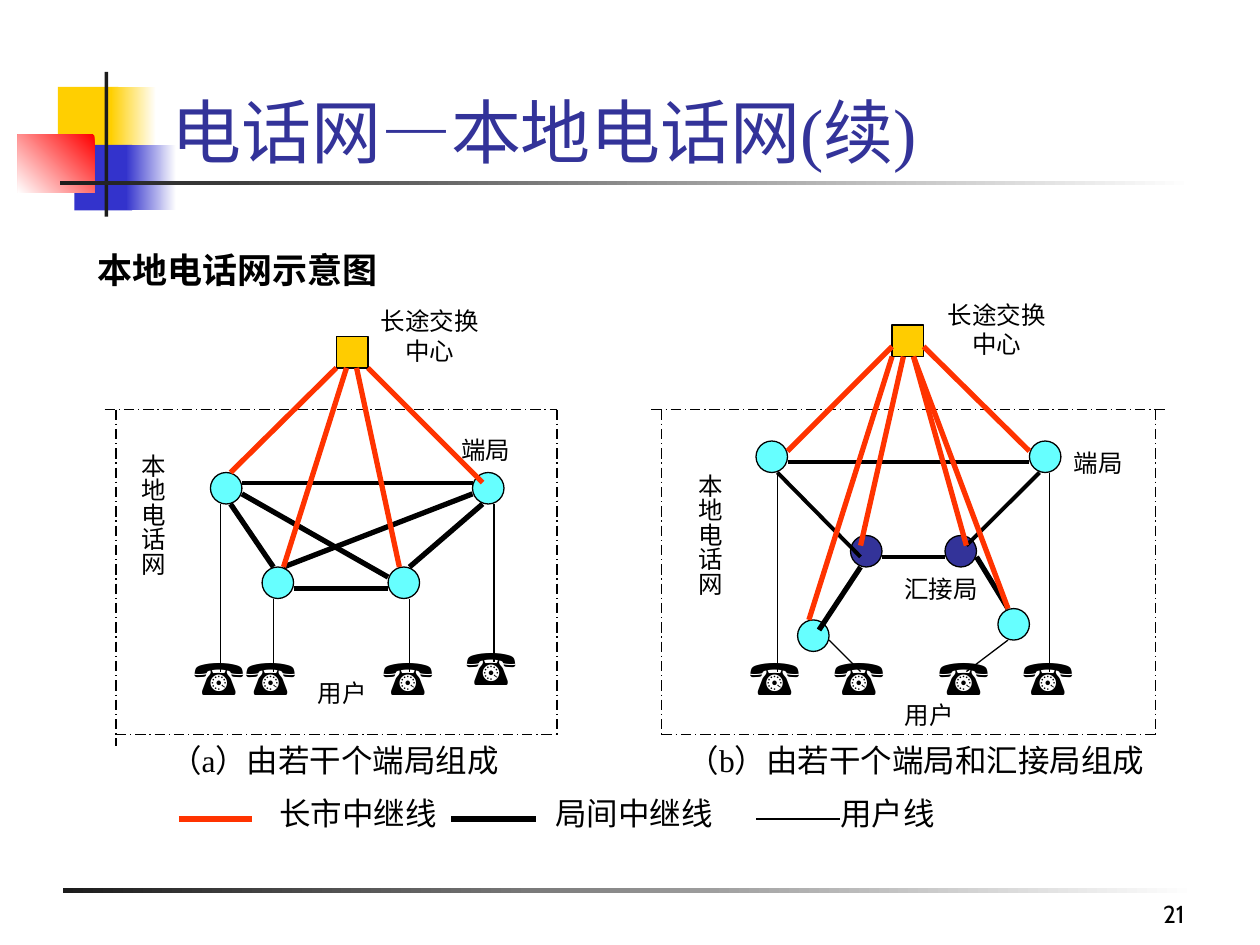
from lxml.etree import SubElement
from pptx import Presentation
from pptx.dml.color import RGBColor as RGB
from pptx.enum.dml import MSO_LINE
from pptx.enum.shapes import MSO_CONNECTOR, MSO_SHAPE
from pptx.enum.text import MSO_ANCHOR as ANCHOR, MSO_AUTO_SIZE as FIT, PP_ALIGN as ALIGN
from pptx.oxml.ns import qn
from pptx.util import Inches, Pt

BLACK, WHITE, INK = RGB(0, 0, 0), RGB(255, 255, 255), RGB(0x1C, 0x1C, 0x1C)
GOLD, BLUE, RED = RGB(0xFF, 0xCF, 0x01), RGB(0x33, 0x33, 0xCC), RGB(0xFF, 0, 0)
NAVY, CYAN = RGB(0x33, 0x33, 0x99), RGB(0x66, 0xFF, 0xFF)
AMBER, TRUNK = RGB(0xFF, 0xCC, 0x00), RGB(0xFF, 0x33, 0x00)
SERIF, SANS = "Times New Roman", "Noto Sans CJK SC"
NODE = 0.25

# Template decor: left, top, width, height, colour, far colour, angle
DECOR = [
    (0.46, 0.69, 0.48, 0.52, GOLD, None, 0),
    (0.88, 0.69, 0.36, 0.52, WHITE, GOLD, 180),
    (0.59, 1.15, 0.46, 0.52, BLUE, None, 0),
    (1, 1.15, 0.4, 0.52, WHITE, BLUE, 180),
    (0.14, 1.07, 0.61, 0.46, RED, WHITE, 135),
    (0.83, 0.57, 0.03, 1.15, INK, None, 0),
    (0.48, 1.44, 9, 0.03, WHITE, INK, 180),
    (0.5, 7.05, 9, 0.04, WHITE, INK, 180),
]

# Both networks: nodes by corner, lines as x1, y1, x2, y2, labels by box
NETS = [
    dict(
        center=(2.67, 2.67),
        ends=[(1.67, 3.75), (3.75, 3.75), (2.08, 4.5), (3.08, 4.5)],
        tandems=[],
        border=[(0.83, 3.25, 4.42, 3.25), (0.92, 3.25, 0.92, 5.92),
                (4.42, 3.25, 4.42, 5.83), (0.92, 5.83, 4.42, 5.83)],
        users=[(1.75, 4, 1.75, 5.33), (3.92, 4, 3.92, 5.25),
               (2.17, 4.75, 2.17, 5.33), (3.25, 4.75, 3.25, 5.33)],
        thin=[(1.92, 3.83, 3.75, 3.83)],
        thick=[(1.83, 4, 2.17, 4.5), (3.83, 4, 3.25, 4.5), (2.33, 4.67, 3.08, 4.67),
               (2.25, 4.5, 3.75, 3.92), (1.92, 3.92, 3.08, 4.58)],
        trunks=[(2.92, 2.92, 3.83, 3.83), (2.67, 2.92, 1.83, 3.75),
                (2.75, 2.92, 2.25, 4.5), (2.83, 2.92, 3.17, 4.5)],
        phones=[(1.44, 5.08), (1.85, 5.08), (2.94, 5.08), (3.6, 5)],
        side=(1, 3.5, 0.43, 1.08),
        labels=[("长途交换\n中心", 2.92, 2.38, 0.98, 0.57), ("端局", 3.56, 3.4, 0.59, 0.34),
                ("用户", 2.42, 5.33, 0.59, 0.34)],
        caption=("（a）由若干个端局组成", 1.19, 5.83, 2.93, 0.4),
    ),
    dict(
        center=(7.08, 2.58),
        ends=[(6, 3.5), (8.17, 3.5), (7.92, 4.83), (6.33, 4.92)],
        tandems=[(6.75, 4.25), (7.5, 4.25)],
        border=[(5.17, 3.25, 9.25, 3.25), (5.25, 3.25, 5.25, 5.83),
                (9.17, 3.25, 9.17, 5.83), (5.25, 5.83, 9.17, 5.83)],
        users=[(6.17, 3.75, 6.17, 5.33), (8.33, 3.75, 8.33, 5.33),
               (6.58, 5.08, 6.83, 5.33), (8, 5.08, 7.67, 5.33)],
        thin=[(6.25, 3.67, 8.17, 3.67), (7, 4.42, 7.5, 4.42),
              (8.25, 3.75, 7.67, 4.33), (6.17, 3.75, 6.83, 4.42)],
        thick=[(7.75, 4.42, 8, 4.83), (6.83, 4.5, 6.5, 5)],
        trunks=[(8.17, 3.58, 7.33, 2.75), (6.25, 3.58, 7.08, 2.75), (7.17, 2.83, 6.83, 4.33),
                (7.25, 2.83, 7.67, 4.33), (8, 4.83, 7.25, 2.83), (6.42, 4.92, 7.08, 2.83)],
        phones=[(5.85, 5.08), (6.52, 5.08), (7.35, 5.08), (8.02, 5.08)],
        side=(5.42, 3.66, 0.43, 1.08),
        labels=[("长途交换\n中心", 7.42, 2.33, 0.98, 0.57), ("端局", 8.42, 3.5, 0.59, 0.34),
                ("用户", 7.08, 5.5, 0.59, 0.34), ("汇接局", 7.08, 4.5, 0.78, 0.34)],
        caption=("（b）由若干个端局和汇接局组成", 5.3, 5.83, 3.94, 0.4),
    ),
]

# Legend: text, text left, line start, line end, colour, width
LEGEND = [
    ("长市中继线", 2.12, 1.42, 2, TRUNK, 3),
    ("局间中继线", 4.31, 3.58, 4.25, BLACK, 3),
    ("用户线", 6.57, 6, 6.67, BLACK, 0.75),
]

deck = Presentation()
deck.slide_width, deck.slide_height = Inches(10), Inches(7.5)
slide = deck.slides.add_slide(deck.slide_layouts[1])
shapes = slide.shapes


def write(text, *box, hold=None, size=14, font=SERIF, color=BLACK, bold=False,
          align=ALIGN.CENTER, anchor=ANCHOR.MIDDLE, wrap=False, upright=False):
    """Put text in a new box, or in the placeholder given as hold."""
    spot = [Inches(v) for v in box]
    item = hold or shapes.add_textbox(*spot)
    item.left, item.top, item.width, item.height = spot
    frame = item.text_frame
    frame.text = text
    frame.auto_size, frame.word_wrap, frame.vertical_anchor = FIT.NONE, wrap, anchor
    if upright:
        frame._txBody.bodyPr.set("vert", "eaVert")
        frame.margin_left = frame.margin_right = Inches(0.05)
        frame.margin_top = frame.margin_bottom = Inches(0.1)
    for para in frame.paragraphs:
        para.alignment, para.space_before = align, Pt(0)
        for run in para.runs:
            face = run.font
            face.size, face.bold, face.name = Pt(size), bold, font
            face.color.rgb = color
            SubElement(run._r.get_or_add_rPr(), qn("a:ea"), typeface=SANS)
    return item


def draw(kind, x, y, w, h, color, far=None, angle=0, edge=False):
    item = shapes.add_shape(kind, *[Inches(v) for v in (x, y, w, h)])
    item.shadow.inherit = False
    if far is None:
        item.fill.solid()
        item.fill.fore_color.rgb = color
    else:
        item.fill.gradient()
        item.fill.gradient_angle = 360 - angle
        for stop, tone in zip(item.fill.gradient_stops, (color, far)):
            stop.color.rgb = tone
    if edge:
        item.line.color.rgb, item.line.width = BLACK, Pt(0.75)
    else:
        item.line.fill.background()


def link(ends, color=BLACK, width=0.75, dash=None):
    wire = shapes.add_connector(MSO_CONNECTOR.STRAIGHT, *[Inches(v) for v in ends])
    wire.line.color.rgb, wire.line.width = color, Pt(width)
    if dash:
        wire.line.dash_style = dash
    SubElement(wire._element.spPr, qn("a:effectLst"))


# Decor, then title and heading in front of it
for part in DECOR:
    draw(MSO_SHAPE.RECTANGLE, *part)
title, body = shapes.title, slide.placeholders[1]
write("电话网—本地电话网(续)", 1.26, 0.25, 8.52, 1.17, hold=title, size=40,
      color=NAVY, align=ALIGN.LEFT, anchor=ANCHOR.BOTTOM, wrap=True)
write("本地电话网示意图", 0.67, 1.92, 8.5, 0.5, hold=body, size=20, font=SANS,
      bold=True, align=ALIGN.LEFT, anchor=ANCHOR.TOP, wrap=True)
props = body.text_frame.paragraphs[0]._p.get_or_add_pPr()
props.set("marL", "0")
props.set("indent", "0")
SubElement(props, qn("a:buNone"))
for hold in (title, body):
    shapes._spTree.append(hold._element)

# Networks
for net in NETS:
    draw(MSO_SHAPE.RECTANGLE, *net["center"], NODE, NODE, AMBER, edge=True)
    for key, color in (("ends", CYAN), ("tandems", NAVY)):
        for spot in net[key]:
            draw(MSO_SHAPE.OVAL, *spot, NODE, NODE, color, edge=True)
    for key, color, width, dash in (
            ("border", BLACK, 0.75, MSO_LINE.LONG_DASH_DOT), ("users", BLACK, 0.75, None),
            ("thin", BLACK, 2.25, None), ("thick", BLACK, 3, None), ("trunks", TRUNK, 3, None)):
        for ends in net[key]:
            link(ends, color, width, dash)
    for spot in net["phones"]:
        write("☎", *spot, 0.61, 0.57, size=28, font="Arial", align=ALIGN.LEFT, anchor=ANCHOR.TOP)
    write("本地电话网", *net["side"], upright=True)
    for label in net["labels"]:
        write(*label)
    write(*net["caption"], size=18)

# Legend and page number
for text, left, start, end, color, width in LEGEND:
    write(text, left, 6.25, 1.5, 0.4, size=18, align=ALIGN.LEFT)
    link((start, 6.5, end, 6.5), color, width)
write("21", 7.42, 6.92, 2.08, 0.5, font="Cabin", align=ALIGN.RIGHT, anchor=ANCHOR.BOTTOM, wrap=True)

deck.save("out.pptx")
